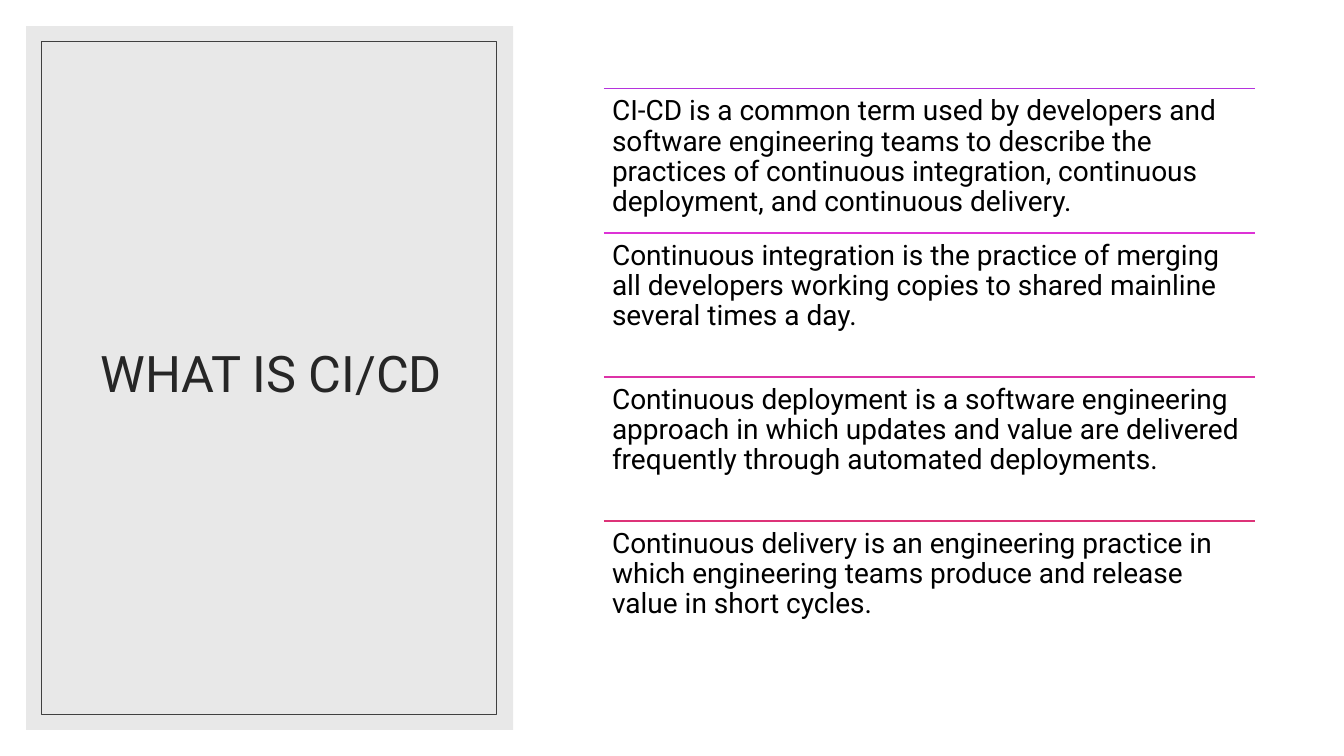
from dataclasses import dataclass

from lxml import etree
from pptx import Presentation
from pptx import util as u
from pptx.dml.color import RGBColor
from pptx.enum import shapes, text
from pptx.oxml.ns import qn

SLIDE_WIDTH = u.Inches(13.33)
SLIDE_HEIGHT = u.Inches(7.5)
FONT = "Roboto"


@dataclass(frozen=True)
class Area:
    """Position and size in percent of the slide."""

    left: float
    top: float
    width: float
    height: float

    def lengths(self) -> tuple[int, int, int, int]:
        return (
            round(SLIDE_WIDTH * self.left / 100),
            round(SLIDE_HEIGHT * self.top / 100),
            round(SLIDE_WIDTH * self.width / 100),
            round(SLIDE_HEIGHT * self.height / 100),
        )


@dataclass(frozen=True)
class Definition:
    rule_color: str
    wording: str


PANEL = Area(1.95, 3.47, 36.23, 93.07)
FRAME = Area(3.08, 5.47, 33.83, 89.07)
HEADING = Area(4.73, 8.13, 30.91, 83.2)
FIRST_ROW = Area(44.94, 11.73, 48.46, 19.07)

DEFINITIONS = [
    Definition(
        "B533DD",
        "CI-CD is a common term used by developers and software engineering teams "
        "to describe the practices of continuous integration, continuous deployment, "
        "and continuous delivery.",
    ),
    Definition(
        "DD33D6",
        "Continuous integration is the practice of merging all developers working "
        "copies to shared mainline several times a day.",
    ),
    Definition(
        "DD33A7",
        "Continuous deployment is a software engineering approach in which updates "
        "and value are delivered frequently through automated deployments.",
    ),
    Definition(
        "DD3378",
        "Continuous delivery is an engineering practice in which engineering teams "
        "produce and release value in short cycles.",
    ),
]


def paint(color_format, color: str) -> None:
    color_format.rgb = RGBColor.from_string(color)


def write(shape, wording: str, *, size: float, color: str, align, anchor, inset: float) -> None:
    frame = shape.text_frame
    frame.word_wrap = True
    frame.auto_size = text.MSO_AUTO_SIZE.NONE
    frame.vertical_anchor = anchor
    frame.margin_left = frame.margin_right = u.Inches(inset)
    frame.margin_top = frame.margin_bottom = u.Inches(inset)
    paragraph = frame.paragraphs[0]
    paragraph.alignment = align
    paragraph.line_spacing = 0.9
    run = paragraph.add_run()
    run.text = wording
    run.font.size = u.Pt(size)
    run.font.name = FONT
    paint(run.font.color, color)


def add_rectangle(slide, area: Area):
    rectangle = slide.shapes.add_shape(shapes.MSO_SHAPE.RECTANGLE, *area.lengths())
    rectangle.shadow.inherit = False
    return rectangle


def add_panel(slide, area: Area, color: str, opacity: int):
    panel = add_rectangle(slide, area)
    panel.fill.solid()
    paint(panel.fill.fore_color, color)
    panel.line.fill.background()
    tint = panel.element.spPr.find(qn("a:solidFill")).find(qn("a:srgbClr"))
    etree.SubElement(tint, qn("a:alpha")).set("val", str(opacity * 1000))
    return panel


def add_frame(slide, area: Area, color: str, weight: float) -> None:
    frame = add_rectangle(slide, area)
    frame.fill.background()
    paint(frame.line.color, color)
    frame.line.width = u.Pt(weight)


def add_definition(slide, area: Area, definition: Definition) -> None:
    left, top, width, height = area.lengths()
    rule = slide.shapes.add_connector(
        shapes.MSO_CONNECTOR.STRAIGHT, left, top, left + width, top
    )
    paint(rule.line.color, definition.rule_color)
    rule.line.width = u.Pt(1)
    etree.SubElement(rule.element.spPr, qn("a:effectLst"))
    write(
        slide.shapes.add_textbox(left, top, width, height),
        definition.wording,
        size=20,
        color="000000",
        align=text.PP_ALIGN.LEFT,
        anchor=text.MSO_ANCHOR.TOP,
        inset=0.08,
    )


def main() -> None:
    deck = Presentation()
    deck.slide_width, deck.slide_height = SLIDE_WIDTH, SLIDE_HEIGHT
    slide = deck.slides.add_slide(deck.slide_layouts[5])
    slide.background.fill.solid()
    paint(slide.background.fill.fore_color, "FFFFFF")

    heading = slide.shapes.title
    heading.left, heading.top, heading.width, heading.height = HEADING.lengths()
    write(
        heading,
        "WHAT IS CI/CD",
        size=36,
        color="262626",
        align=text.PP_ALIGN.CENTER,
        anchor=text.MSO_ANCHOR.MIDDLE,
        inset=0.1,
    )
    panel = add_panel(slide, PANEL, "D9D9D9", opacity=60)
    heading.element.addprevious(panel.element)
    add_frame(slide, FRAME, "404040", weight=0.5)

    for row, definition in enumerate(DEFINITIONS):
        top = FIRST_ROW.top + row * FIRST_ROW.height
        area = Area(FIRST_ROW.left, top, FIRST_ROW.width, FIRST_ROW.height)
        add_definition(slide, area, definition)

    deck.save("out.pptx")


if __name__ == "__main__":
    main()
